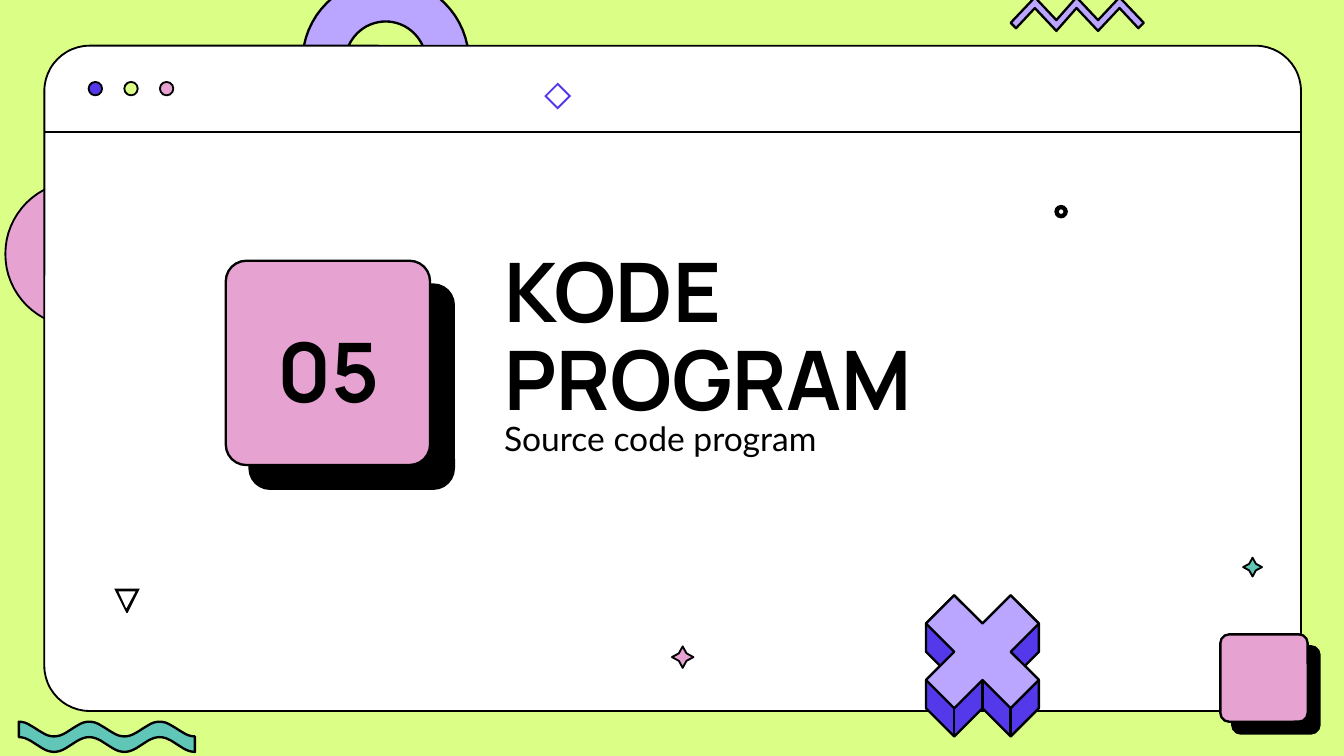
from math import cos, pi, radians, sin

from lxml.etree import SubElement
from pptx import Presentation
from pptx.dml.color import RGBColor
from pptx.enum.shapes import MSO_CONNECTOR as Connector, MSO_SHAPE as Shape
from pptx.enum.text import MSO_ANCHOR as Anchor, MSO_AUTO_SIZE as AutoSize, PP_ALIGN as Align
from pptx.oxml.ns import qn
from pptx.util import Inches, Pt

BLACK, WHITE, LIME = "000000", "FFFFFF", "DBFE87"
PINK, LILAC, VIOLET, TEAL = "E6A2D0", "BAA5FF", "5339EA", "60C7B8"
UNITS = 1000

TEXTS = [
    ("KODE PROGRAM", (3.65, 1.79, 4.33, 1.45), "Manrope", 44, True, Align.LEFT, Anchor.BOTTOM, 0.9, 0),
    ("Source code program", (3.65, 3.09, 4.33, 0.47), "Lato", 18, False, Align.LEFT, Anchor.TOP, 0.9, 7.5),
    ("05", (1.69, 2.4, 1.51, 0.79), "Manrope", 44, True, Align.CENTER, Anchor.MIDDLE, 0.9, 7.5),
]
WINDOW = (0.33, 0.34, 9.35, 4.95)
TILES = [((1.68, 1.94, 1.52, 1.52), 18), ((9.08, 4.72, 0.65, 0.65), 9)]
SPARKLES = [((5, 4.81, 0.16, 0.16), PINK), ((9.25, 4.15, 0.14, 0.14), TEAL)]
WINDOW_BUTTONS = [VIOLET, LIME, PINK]
TRIANGLE = [
    [(0.85, 4.38), (1.04, 4.38), (0.95, 4.56), (0.94, 4.56)],
    [(0.88, 4.4), (1.01, 4.4), (0.94, 4.53)],
]
ZIGZAG = [
    (8.17, 0.23), (8.01, 0.06), (7.86, 0.23), (7.7, 0.06), (7.56, 0.21), (7.52, 0.17), (7.7, -0.02),
    (7.86, 0.15), (8.01, -0.02), (8.17, 0.15), (8.33, -0.02), (8.51, 0.17), (8.47, 0.21), (8.33, 0.06),
]
CROSS_X, CROSS_Y, CROSS_STEP = 7.31, 4.85, 0.21
CROSS_TOP = [(1, -2), (2, -1), (1, 0), (2, 1), (1, 2), (0, 1), (-1, 2), (-2, 1), (-1, 0), (-2, -1), (-1, -2), (0, -1)]
CROSS_SIDES = [
    (1, -2), (2, -1), (2, 0), (1.5, 0.5), (2, 1), (2, 2), (1, 3), (0, 2),
    (-1, 3), (-2, 2), (-2, 1), (-1.5, 0.5), (-2, 0), (-2, -1), (-1, -2), (0, -1),
]
CROSS_EDGES = [(-1, 2), (0, 1), (1, 2)]


def color(value):
    return RGBColor.from_string(value)


def paint(shape, fill, line=None, width=1):
    shape.shadow.inherit = False
    shape.fill.solid()
    shape.fill.fore_color.rgb = color(fill)
    if line is None:
        shape.line.fill.background()
    else:
        shape.line.color.rgb = color(line)
        shape.line.width = Pt(width)
    return shape


def add_preset(page, kind, box, fill, line=BLACK, width=1, adjust=None):
    shape = page.shapes.add_shape(kind, *map(Inches, box))
    if adjust is not None:
        shape.adjustments[0] = adjust
    return paint(shape, fill, line, width)


def add_outline(page, contours, fill, line=BLACK, width=1.25):
    scaled = [[(round(x * UNITS), round(y * UNITS)) for x, y in points] for points in contours]
    builder = page.shapes.build_freeform(*scaled[0][0], scale=Inches(1) / UNITS)
    for index, points in enumerate(scaled):
        if index:
            builder.move_to(*points[0])
        builder.add_line_segments(points[1:], close=True)
    return paint(builder.convert_to_shape(), fill, line, width)


def add_line(page, start, end, width):
    line = page.shapes.add_connector(Connector.STRAIGHT, *map(Inches, (*start, *end)))
    line.line.color.rgb = color(BLACK)
    line.line.width = Pt(width)
    SubElement(line.element.spPr, qn("a:effectLst"))


def add_hard_shadow(shape, distance):
    effects = shape.element.spPr.find(qn("a:effectLst"))
    shadow = SubElement(effects, qn("a:outerShdw"), dist=str(Pt(distance)), dir="2700000", rotWithShape="0")
    SubElement(shadow, qn("a:srgbClr"), val=BLACK)


def arc(center_x, center_y, radius, start, end, steps=32):
    angles = [radians(start + (end - start) * step / steps) for step in range(steps + 1)]
    return [(center_x + radius * cos(angle), center_y + radius * sin(angle)) for angle in angles]


def diamond(radius):
    return arc(4.15, 0.715, radius, 0, 270, 3)


def wave(top, steps=60):
    return [(0.14 + 1.31 * i / steps, top + 0.055 * (1 - cos(5 * pi * i / steps))) for i in range(steps + 1)]


def cross_points(steps):
    return [(CROSS_X + x * CROSS_STEP, CROSS_Y + y * CROSS_STEP) for x, y in steps]


def add_background(page):
    arch = arc(2.87, 0.46, 0.62, 180, 360) + arc(3.33, 0.46, 0.16, 0, 180)
    arch += arc(2.87, 0.46, 0.3, 360, 180) + arc(2.41, 0.46, 0.16, 0, 180)
    add_outline(page, [arch], LILAC)
    add_outline(page, [arc(0.58, 1.89, 0.54, 90, 270)], PINK, width=1)
    add_preset(page, Shape.ROUNDED_RECTANGLE, WINDOW, WHITE, adjust=0.068)
    add_line(page, (0.33, 0.98), (9.67, 0.98), 1)


def add_cross(page):
    add_outline(page, [cross_points(CROSS_SIDES)], VIOLET)
    add_outline(page, [cross_points(CROSS_TOP)], LILAC)
    for x, y in CROSS_EDGES:
        add_line(page, *cross_points([(x, y), (x, y + 1)]), 1.25)


def add_ornaments(page):
    for box, distance in TILES:
        add_hard_shadow(add_preset(page, Shape.ROUNDED_RECTANGLE, box, PINK, width=1.25, adjust=0.1), distance)
    for box, fill in SPARKLES:
        add_preset(page, Shape.STAR_4_POINT, box, fill, adjust=0.25)
    for index, fill in enumerate(WINDOW_BUTTONS):
        add_preset(page, Shape.OVAL, (0.66 + index * 0.265, 0.61, 0.1, 0.1), fill)
    add_outline(page, TRIANGLE, BLACK, None)
    add_outline(page, [diamond(0.1), diamond(0.08)], VIOLET, None)
    add_preset(page, Shape.DONUT, (7.85, 1.53, 0.09, 0.09), BLACK, width=0, adjust=0.25)
    add_cross(page)
    add_outline(page, [wave(5.37) + wave(5.485)[::-1]], TEAL)
    add_outline(page, [ZIGZAG], LILAC)


def fill_placeholder(box, text, place, font, size, bold, align, anchor, spacing, before):
    box.left, box.top, box.width, box.height = map(Inches, place)
    frame = box.text_frame
    frame.text = text
    frame.word_wrap = True
    frame.auto_size = AutoSize.NONE
    frame.vertical_anchor = anchor
    para = frame.paragraphs[0]
    para.alignment, para.line_spacing, para.space_before = align, spacing, Pt(before)
    properties = para._p.get_or_add_pPr()
    properties.set("marL", "0")
    properties.set("indent", "0")
    SubElement(properties, qn("a:buNone"))
    span = para.runs[0].font
    span.name, span.size, span.bold = font, Pt(size), bold
    span.color.rgb = color(BLACK)
    box.element.getparent().append(box.element)


def main():
    """Build the section slide."""
    deck = Presentation()
    deck.slide_width, deck.slide_height = Inches(10), Inches(10 * 9 / 16)
    page = deck.slides.add_slide(deck.slide_layouts[3])
    page.background.fill.solid()
    page.background.fill.fore_color.rgb = color(LIME)
    boxes = list(page.placeholders)
    add_background(page)
    add_ornaments(page)
    for box, text in zip(boxes, TEXTS):
        fill_placeholder(box, *text)
    deck.save("out.pptx")


if __name__ == "__main__":
    main()
